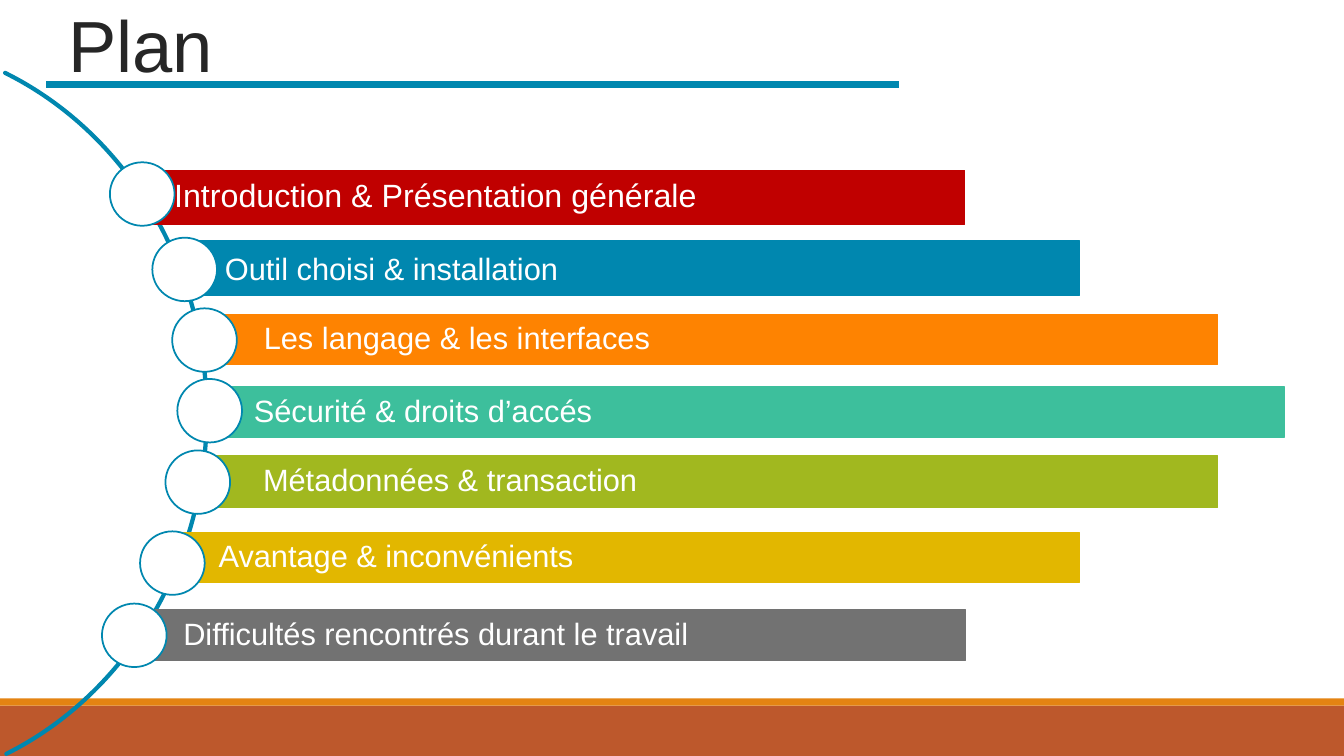
from lxml import etree
from pptx import Presentation
from pptx import util as u
from pptx.dml import color
from pptx.enum import shapes, text
from pptx.oxml import ns

BLUE, WHITE = "0087AF", "FFFFFF"


def rgb(code):
    return color.RGBColor.from_string(code)


def assign(target, values):
    for key, value in values.items():
        setattr(target, key, value)


class PlanSlide:
    """Holds the style and the current slide, and draws each kind of element."""

    font = "Arial"

    def __init__(self, slide):
        self.slide = slide

    def shape(self, kind, box, fill=None, line=None, width=1.25):
        item = self.slide.shapes.add_shape(kind, *map(u.Cm, box))
        item.shadow.inherit = False
        if fill:
            item.fill.solid()
            item.fill.fore_color.rgb = rgb(fill)
        else:
            item.fill.background()
        if line:
            item.line.color.rgb = rgb(line)
            item.line.width = u.Pt(width)
        else:
            item.line.fill.background()
        return item

    def label(self, item, wording, size, ink, spacing=0.9, **insets):
        frame = item.text_frame
        assign(frame, {"word_wrap": True, "vertical_anchor": text.MSO_ANCHOR.MIDDLE, **insets})
        paragraph = frame.paragraphs[0]
        assign(paragraph, {"alignment": text.PP_ALIGN.LEFT, "line_spacing": spacing})
        run = paragraph.add_run()
        run.text = wording
        assign(run.font, {"name": self.font, "size": u.Pt(size)})
        run.font.color.rgb = rgb(ink)

    def bar(self, box, fill, wording, indent, size=22, spacing=0.9):
        item = self.shape(shapes.MSO_SHAPE.RECTANGLE, box, fill, fill, 0.75)
        margin = u.Cm(0.15)
        self.label(item, wording, size, WHITE, spacing, margin_left=u.Cm(indent),
                   margin_right=margin, margin_top=margin, margin_bottom=margin)

    def bullet(self, left, top):
        self.shape(shapes.MSO_SHAPE.OVAL, (left, top, 1.63, 1.6), WHITE, BLUE)

    def arc(self, box, start, end):
        item = self.shape(shapes.MSO_SHAPE.BLOCK_ARC, box, None, BLUE, 3)
        for index, value in enumerate((start, end, 0)):
            item.adjustments[index] = value

    def rule(self, left, right, y):
        line = self.slide.shapes.add_connector(
            shapes.MSO_CONNECTOR.STRAIGHT, *map(u.Cm, (left, y, right, y)))
        line.line.color.rgb = rgb(BLUE)
        line.line.width = u.Pt(4.5)
        etree.SubElement(line._element.spPr, ns.qn("a:effectLst"))

    def title(self, box, wording):
        item = self.slide.shapes.add_textbox(*map(u.Cm, box))
        self.label(item, wording, 51.7, "262626")


def main():
    deck = Presentation()
    assign(deck, {"slide_width": u.Cm(33.87), "slide_height": u.Cm(19.05)})
    plan = PlanSlide(deck.slides.add_slide(deck.slide_layouts[6]))

    for box, fill in (((0, 17.78, 33.87, 1.27), "BD582C"), ((0, 17.6, 33.87, 0.18), "E48312")):
        plan.shape(shapes.MSO_SHAPE.RECTANGLE, box, fill)
    plan.arc((-12.14, 0.99, 17.35, 18.87), 175.63, 40.24)
    plan.rule(1.17, 22.66, 2.13)
    plan.title((1.47, 0.1, 29.21, 2.26), "Plan")

    chapters = [
        ((3.35, 4.29, 20.96, 1.37), "C00000", "Introduction & Présentation générale", 1.04,
         {"size": 23}, (2.77, 4.09)),
        ((4.83, 6.07, 22.38, 1.37), BLUE, "Outil choisi & installation", 0.84,
         {"spacing": 1.0}, (3.84, 5.99)),
        ((5.61, 7.92, 25.07, 1.27), "FE8301", "Les langage & les interfaces", 1.04,
         {}, (4.34, 7.77)),
        ((5.18, 9.75, 27.18, 1.27), "3DBF9C", "Sécurité & droits d’accés", 1.22,
         {}, (4.47, 9.55)),
        ((4.98, 11.48, 25.7, 1.32), "A1B81F", "Métadonnées & transaction", 1.65,
         {}, (4.17, 11.35)),
        ((4.47, 13.41, 22.73, 1.27), "E2B700", "Avantage & inconvénients", 1.04,
         {}, (3.53, 13.39)),
        ((3.58, 15.37, 20.75, 1.27), "727272", "Difficultés rencontrés durant le travail", 1.04,
         {}, (2.57, 15.21)),
    ]
    for box, fill, wording, indent, style, spot in chapters:
        plan.bar(box, fill, wording, indent, **style)
        plan.bullet(*spot)

    deck.save("out.pptx")


if __name__ == "__main__":
    main()
